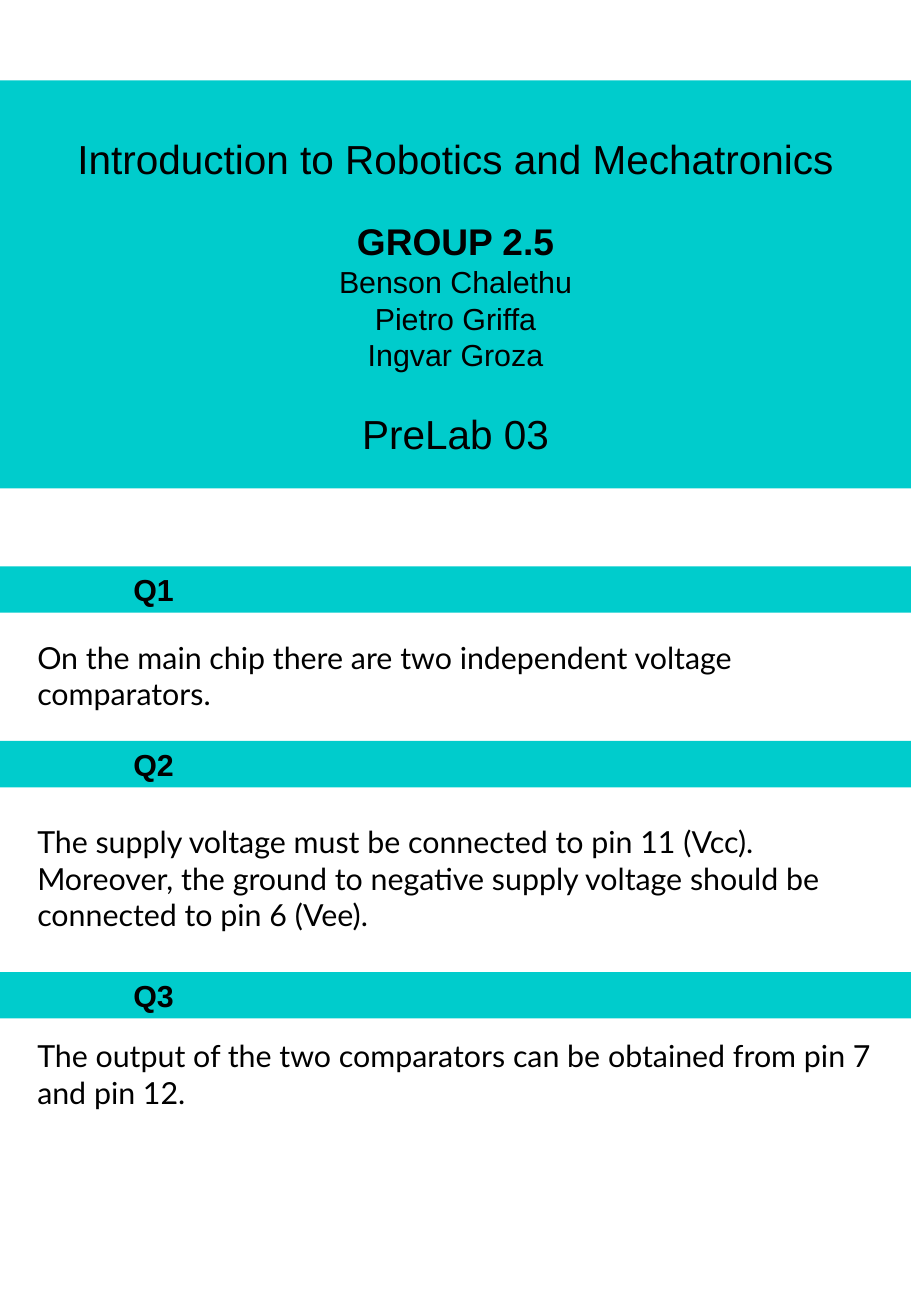
"""Build the PreLab 03 answer sheet as a one-page portrait slide."""
from dataclasses import dataclass

from pptx import Presentation
from pptx.dml.color import RGBColor
from pptx.enum.shapes import MSO_SHAPE
from pptx.enum.text import MSO_ANCHOR, MSO_AUTO_SIZE, PP_ALIGN
from pptx.util import Cm, Pt


@dataclass(frozen=True)
class Theme:
    """Colours, fonts and type sizes of the sheet."""
    band: RGBColor = RGBColor(0x00, 0xCC, 0xCC)
    ink: RGBColor = RGBColor(0x00, 0x00, 0x00)
    heading_font: str = "Arial"
    body_font: str = "Lato"
    title_size: Pt = Pt(24)
    group_size: Pt = Pt(22)
    text_size: Pt = Pt(18)
    section_gap: Pt = Pt(21.5)


THEME = Theme()
PAGE_WIDTH, PAGE_HEIGHT = Cm(19.05), Cm(27.51)

BANNER_LINES = [
    ("Introduction to Robotics and Mechatronics", THEME.title_size, False, Pt(0)),
    ("GROUP 2.5", THEME.group_size, True, THEME.section_gap),
    ("Benson Chalethu", THEME.text_size, False, Pt(0)),
    ("Pietro Griffa", THEME.text_size, False, Pt(0)),
    ("Ingvar Groza", THEME.text_size, False, Pt(0)),
    ("PreLab 03", THEME.title_size, False, THEME.section_gap),
]

QUESTIONS = [
    ("Q1", 11.84, 13.23, 1.78,
     "On the main chip there are two independent voltage comparators."),
    ("Q2", 15.49, 17.09, 2.57,
     "The supply voltage must be connected to pin 11 (Vcc). Moreover, the ground "
     "to negative supply voltage should be connected to pin 6 (Vee)."),
    ("Q3", 20.32, 21.56, 1.8,
     "The output of the two comparators can be obtained from pin 7 and pin 12."),
]


def fill_band(shape):
    """Give a shape the band colour."""
    shape.fill.solid()
    shape.fill.fore_color.rgb = THEME.band


def write_line(paragraph, text, font_name, size, bold=False, align=PP_ALIGN.LEFT):
    """Write one formatted paragraph."""
    paragraph.text = text
    paragraph.alignment = align
    font = paragraph.font
    font.name, font.size, font.bold = font_name, size, bold
    font.color.rgb = THEME.ink


def format_banner(title):
    """Turn the title placeholder into the full-width banner."""
    title.left, title.top = Cm(0), Cm(1.68)
    title.width, title.height = PAGE_WIDTH, Cm(8.53)
    fill_band(title)
    frame = title.text_frame
    frame.auto_size = MSO_AUTO_SIZE.NONE
    frame.vertical_anchor = MSO_ANCHOR.TOP
    frame.margin_top = Cm(1.12)
    for index, (text, size, bold, gap) in enumerate(BANNER_LINES):
        paragraph = frame.add_paragraph() if index else frame.paragraphs[0]
        write_line(paragraph, text, THEME.heading_font, size, bold, PP_ALIGN.CENTER)
        paragraph.space_before = gap


def add_question_bar(slide, label, top):
    """Add a full-width bar with an indented question number."""
    bar = slide.shapes.add_shape(
        MSO_SHAPE.RECTANGLE, Cm(0), Cm(top), PAGE_WIDTH, Cm(0.97))
    bar.shadow.inherit = False
    bar.line.fill.background()
    fill_band(bar)
    frame = bar.text_frame
    frame.margin_left = Cm(2.79)
    frame.vertical_anchor = MSO_ANCHOR.MIDDLE
    write_line(frame.paragraphs[0], label, THEME.heading_font, THEME.text_size, True)


def add_answer(slide, text, top, height):
    """Add the wrapped answer text below a question bar."""
    box = slide.shapes.add_textbox(Cm(0.53), Cm(top), Cm(18.01), Cm(height))
    frame = box.text_frame
    frame.word_wrap = True
    write_line(frame.paragraphs[0], text, THEME.body_font, THEME.text_size)


def main():
    """Create the slide and save it."""
    presentation = Presentation()
    presentation.slide_width, presentation.slide_height = PAGE_WIDTH, PAGE_HEIGHT
    slide = presentation.slides.add_slide(presentation.slide_layouts[5])
    format_banner(slide.shapes.title)
    for label, bar_top, answer_top, answer_height, answer in QUESTIONS:
        add_question_bar(slide, label, bar_top)
        add_answer(slide, answer, answer_top, answer_height)
    presentation.save("out.pptx")


if __name__ == "__main__":
    main()
